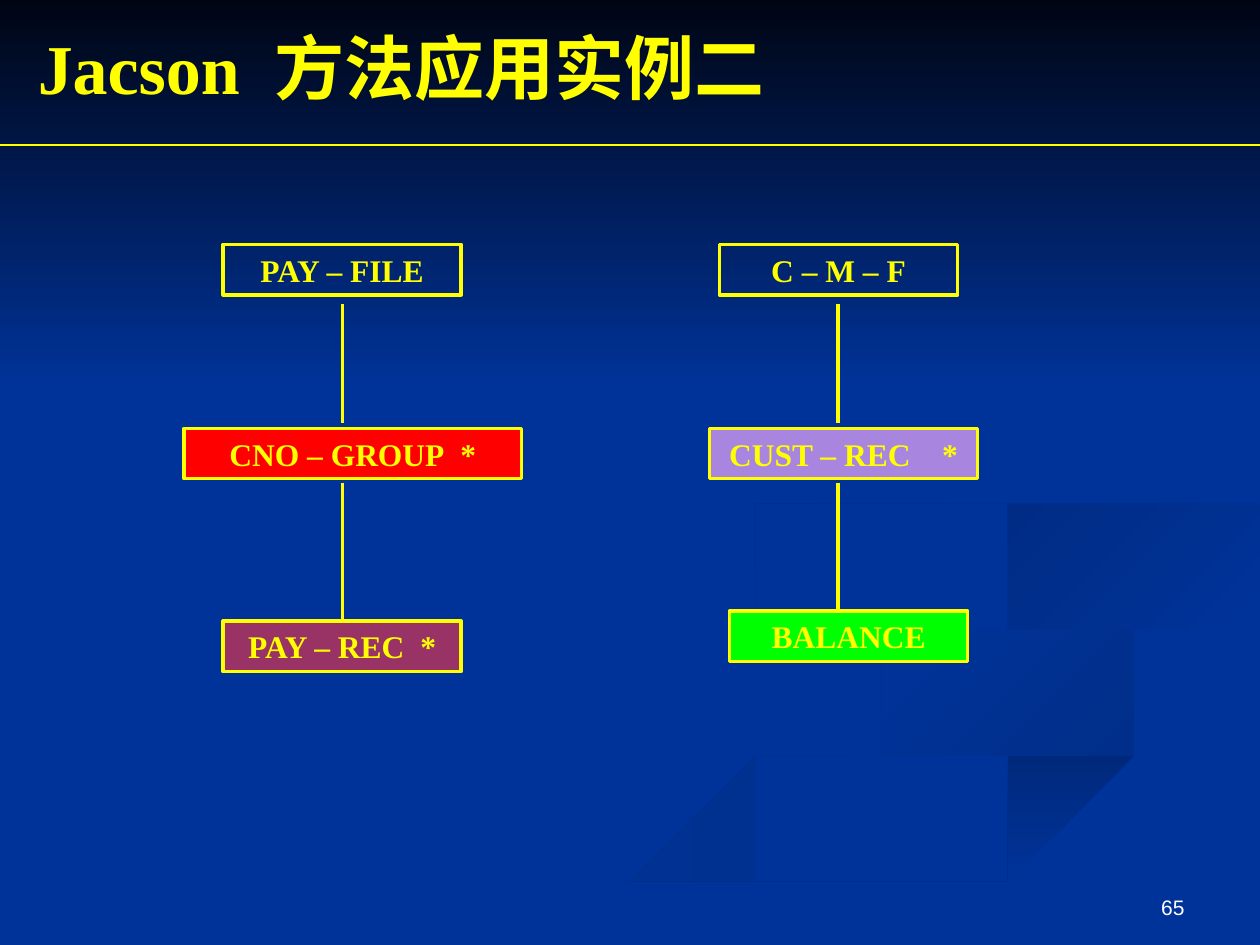
from lxml import etree
from pptx import Presentation
from pptx.dml.color import RGBColor
from pptx.enum.shapes import MSO_CONNECTOR, MSO_SHAPE
from pptx.enum.text import MSO_ANCHOR, MSO_AUTO_SIZE, PP_ALIGN
from pptx.oxml.ns import qn
from pptx.util import Inches, Pt

BLUE, YELLOW = "003399", "FFFF00"
SERIF = "Times New Roman"
CURVE_STEPS = 6

# Each ribbon: start colour, end colour, gradient angle, and two edges to curve through
RIBBONS = [
    ("002E8A", BLUE, 180,
     [(5.75, 4.59), (5.94, 4.85), (6.82, 5.19), (7.81, 5.53), (8, 5.81),
      (7.56, 6.14), (5.94, 6.56), (4.66, 7), (3.61, 7.49)],
     [(5.72, 4.76), (6.54, 5.13), (7.52, 5.43), (7.86, 5.66), (7.49, 5.94),
      (5.79, 6.39), (4.17, 6.9), (3, 7.49)]),
    ("002E8A", BLUE, 135,
     [(7.24, 4.64), (7.58, 4.98), (8.5, 5.24), (9.19, 5.47), (9.43, 5.7), (8.94, 6.05)],
     [(7.25, 4.74), (7.55, 5.05), (8.38, 5.36), (9, 5.57), (9.18, 5.81), (8.94, 6.05)]),
    ("00297C", BLUE, 270,
     [(9.98, 5.81), (8.67, 6.2), (6.96, 6.69), (5.03, 7.49)],
     [(9.98, 6.09), (7.85, 6.61), (6.49, 7.1), (5.71, 7.49)]),
    (BLUE, "002C85", 135,
     [(9.98, 4.02), (8.98, 4.18), (8.21, 4.33), (7.81, 4.6), (8.26, 4.96)],
     [(9.98, 4.2), (8.78, 4.39), (8.16, 4.59), (8.05, 4.76), (8.26, 4.96)]),
    (BLUE, "002B81", 135,
     [(7.62, 2.33), (8.43, 2.75), (8.93, 3.35), (8.76, 3.78), (7.86, 4.12),
      (6.49, 4.36), (5.94, 4.7), (6.22, 5)],
     [(7.62, 2.33), (8.46, 2.79), (8.88, 3.28), (8.61, 3.7), (7.33, 4.04),
      (6.15, 4.29), (5.78, 4.62), (6.22, 5)]),
]

# Each box: left, top, width, fill, label, width of the gap before the asterisk
BOXES = [
    (1.77, 1.94, 1.89, None, "PAY – FILE", None),
    (1.46, 3.4, 2.68, "FF0000", "CNO – GROUP", 9),
    (1.77, 4.93, 1.89, "993366", "PAY – REC", 9),
    (5.71, 1.94, 1.89, None, "C – M – F", None),
    (5.63, 3.4, 2.13, "A886E0", "CUST – REC", 18),
    (5.79, 4.85, 1.89, "00FF00", "BALANCE", None),
]


def color(value):
    return RGBColor.from_string(value)


def add_span(para, text, size, font=SERIF, fill=YELLOW, bold=True):
    span = para.add_run()
    span.text = text
    span.font.size, span.font.name, span.font.bold = Pt(size), font, bold
    span.font.color.rgb = color(fill)
    return span


def add_gap(para, width, size):
    """Add one space, tracked out to the given width in points."""
    gap = add_span(para, " ", size)
    gap.font._element.set("spc", str(round((width - size / 4) * 100)))


def smooth_edge(points):
    """Return a Catmull-Rom curve through the points."""
    padded = [points[0], *points, points[-1]]
    curve = []
    for a, b, c, d in zip(padded, padded[1:], padded[2:], padded[3:]):
        for step in range(CURVE_STEPS):
            t = step / CURVE_STEPS
            curve.append(tuple(
                q + t * (r - p) / 2 + t**2 * (p - 2.5 * q + 2 * r - s / 2)
                + t**3 * (3 * (q - r) + s - p) / 2
                for p, q, r, s in zip(a, b, c, d)))
    return curve + [points[-1]]


def fill_gradient(shape, start, end, angle):
    shape.shadow.inherit = False
    shape.line.fill.background()
    shape.fill.gradient()
    shape.fill.gradient_angle = angle
    for stop, value in zip(shape.fill.gradient_stops, (start, end)):
        stop.color.rgb = color(value)


def add_ribbon(page, start, end, angle, near_edge, far_edge):
    outline = smooth_edge(near_edge) + smooth_edge(far_edge)[::-1]
    builder = page.shapes.build_freeform(*outline[0], scale=Inches(1))
    builder.add_line_segments(outline[1:], close=True)
    fill_gradient(builder.convert_to_shape(), start, end, angle)


def add_backdrop(page):
    for ribbon in RIBBONS:
        add_ribbon(page, *ribbon)
    shade = page.shapes.add_shape(MSO_SHAPE.RECTANGLE, 0, 0, Inches(10), Inches(3.08))
    fill_gradient(shade, "000514", BLUE, 270)


def format_title(page):
    title = page.shapes.title
    title.left, title.top = Inches(0.2), Inches(0.14)
    title.width, title.height = Inches(9), Inches(0.77)
    frame = title.text_frame
    frame.auto_size = MSO_AUTO_SIZE.NONE
    frame.vertical_anchor = MSO_ANCHOR.MIDDLE
    para = frame.paragraphs[0]
    para.alignment = PP_ALIGN.LEFT
    add_span(para, "Jacson", 40)
    add_gap(para, 20, 40)
    add_span(para, "方法应用实例二", 40)
    page.shapes.element.append(title.element)  # in front of the backdrop


def add_line(page, x1, y1, x2, y2, width):
    line = page.shapes.add_connector(
        MSO_CONNECTOR.STRAIGHT, Inches(x1), Inches(y1), Inches(x2), Inches(y2))
    line.line.color.rgb = color(YELLOW)
    line.line.width = Pt(width)
    etree.SubElement(line.element.spPr, qn("a:effectLst"))


def add_box(page, left, top, width, fill, label, gap):
    box = page.shapes.add_shape(
        MSO_SHAPE.RECTANGLE, Inches(left), Inches(top), Inches(width), Inches(0.4))
    box.shadow.inherit = False
    if fill:
        box.fill.solid()
        box.fill.fore_color.rgb = color(fill)
    else:
        box.fill.background()
    box.line.color.rgb = color(YELLOW)
    box.line.width = Pt(2)
    para = box.text_frame.paragraphs[0]
    para.alignment = PP_ALIGN.CENTER
    add_span(para, label, 18)
    if gap:
        add_gap(para, gap, 18)
        add_span(para, "*", 18)


def add_page_number(page, number):
    box = page.shapes.add_textbox(Inches(7.17), Inches(6.83), Inches(2.33), Inches(0.52))
    box.text_frame.word_wrap = True
    box.text_frame.vertical_anchor = MSO_ANCHOR.BOTTOM
    para = box.text_frame.paragraphs[0]
    para.alignment = PP_ALIGN.RIGHT
    add_span(para, number, 12, "Arial", "FFFFFF", False)


def main():
    deck = Presentation()
    deck.slide_width, deck.slide_height = Inches(10), Inches(7.5)
    page = deck.slides.add_slide(deck.slide_layouts[5])
    page.background.fill.solid()
    page.background.fill.fore_color.rgb = color(BLUE)
    add_backdrop(page)
    format_title(page)
    add_line(page, 0, 1.15, 10, 1.15, 0.75)
    for box in BOXES:
        add_box(page, *box)
    for x, bottom in ((2.72, 4.93), (6.65, 4.85)):
        add_line(page, x, 2.41, x, 3.36, 2)
        add_line(page, x, 3.83, x, bottom, 2)
    add_page_number(page, "65")
    deck.save("out.pptx")


if __name__ == "__main__":
    main()
